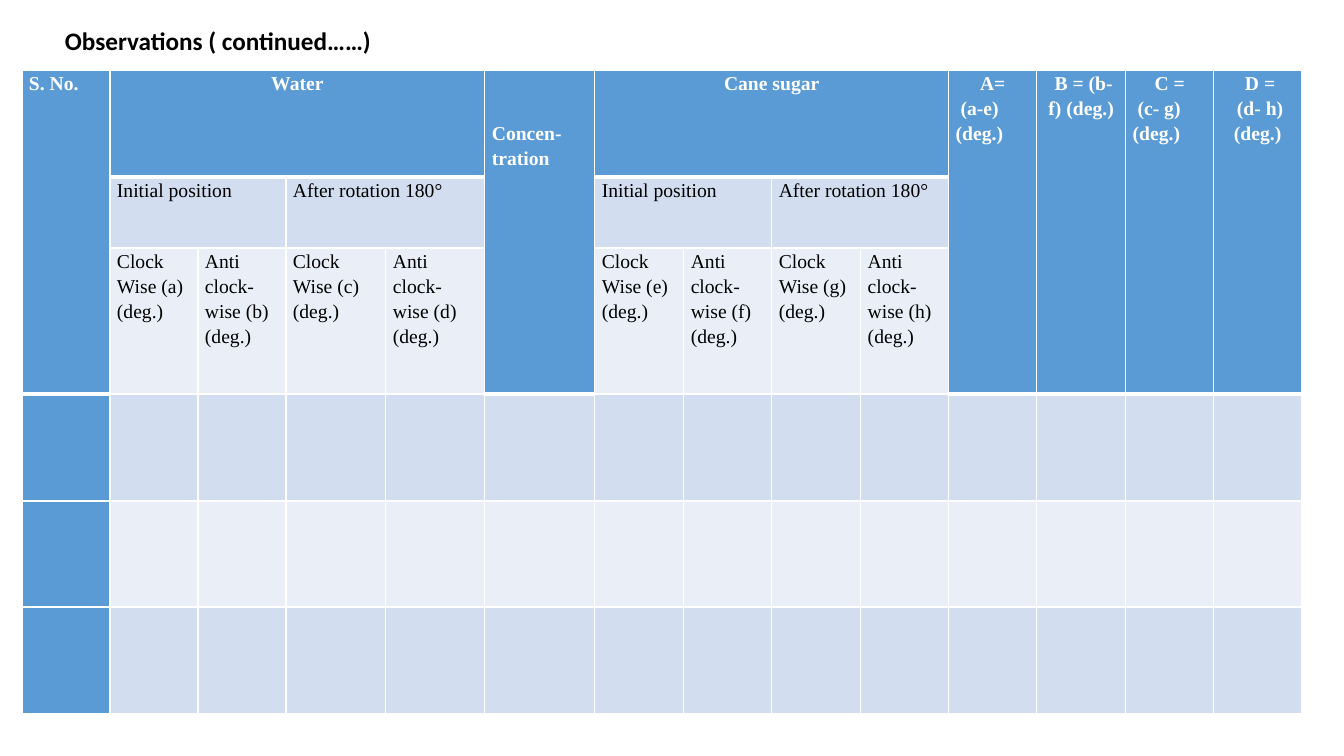
from lxml.etree import SubElement
from pptx import Presentation
from pptx.dml.color import RGBColor
from pptx.enum.text import MSO_AUTO_SIZE as AUTO, PP_ALIGN as AL
from pptx.oxml.ns import qn
from pptx.util import Pt

PX = 914400 / 100.8
C = {"header": "5B9BD5", "dark": "D2DEEF", "light": "EAEFF7",
     "white": "FFFFFF", "black": "000000"}
COLS = [88, 88, 88, 100, 99, 110, 89, 88, 89, 88, 88, 89, 88, 88]
ROWS = [107, 71, 146, 107, 106, 107]
TALL = (0, 5, 10, 11, 12, 13)  # columns whose heading spans three rows


def px(n):
    return round(n * PX)


def add_border(cell, side, width):
    ln = SubElement(cell._tc.get_or_add_tcPr(), qn(f"a:ln{side}"), w=str(Pt(width)))
    SubElement(SubElement(ln, qn("a:solidFill")), qn("a:srgbClr"), val=C["white"])


prs = Presentation()
prs.slide_width, prs.slide_height = px(1344), px(756)
s = prs.slides.add_slide(prs.slide_layouts[6])

# Table grid
frame = s.shapes.add_table(len(ROWS), len(COLS), px(22), px(70), px(sum(COLS)), px(sum(ROWS)))
table = frame.table
table.first_row = table.horz_banding = False
for col, width in zip(table.columns, COLS):
    col.width = px(width)
for row, height in zip(table.rows, ROWS):
    row.height = px(height)

for r in range(len(ROWS)):
    for c in range(len(COLS)):
        cell = table.cell(r, c)
        tall = c in TALL
        thick_top = r == (3 if tall else 1)
        thick_bottom = r < 3 if tall else r == 0
        add_border(cell, "L", 1)
        add_border(cell, "R", 1)
        add_border(cell, "T", 3 if thick_top else 1)
        add_border(cell, "B", 3 if thick_bottom else 1)
        header = r == 0 or c == 0 or (tall and r < 3)
        fill = "header" if header else "dark" if r % 2 else "light"
        cell.fill.solid()
        cell.fill.fore_color.rgb = RGBColor.from_string(C[fill])

# Headings: row, column, row span, column span, paragraphs with alignment
headings = [
    (0, 0, 3, 1, [("S. No.", AL.LEFT)]),
    (0, 5, 3, 1, [("Concen-tration", AL.LEFT)]),
    (0, 10, 3, 1, [("A=", AL.CENTER), (" (a-e) (deg.)", AL.LEFT)]),
    (0, 11, 3, 1, [(" B = (b-f) (deg.)", AL.CENTER)]),
    (0, 12, 3, 1, [("C =", AL.CENTER), (" (c- g) (deg.)", AL.LEFT)]),
    (0, 13, 3, 1, [(" D =", AL.CENTER), (" (d- h) (deg.)", AL.CENTER)]),
]
for liquid, first, letters in (("Water", 1, "abcd"), ("Cane sugar", 6, "efgh")):
    headings.append((0, first, 1, 4, [(liquid, AL.CENTER)]))
    for i, position in enumerate(("Initial position", "After rotation 180°")):
        headings.append((1, first + 2 * i, 1, 2, [(position, AL.LEFT)]))
    for i, letter in enumerate(letters):
        turn = "Anti clock-wise" if i % 2 else "Clock Wise"
        headings.append((2, first + i, 1, 1, [(f"{turn} ({letter}) (deg.)", AL.LEFT)]))

for r, c, down, across, paragraphs in headings:
    cell = table.cell(r, c)
    if down * across > 1:
        cell.merge(table.cell(r + down - 1, c + across - 1))
    cell.margin_left = cell.margin_right = px(7)
    cell.margin_top = px(50 if c == 5 else 0)
    cell.margin_bottom = 0
    tf = cell.text_frame
    tf.text = "\n".join(text for text, _ in paragraphs)
    for p, (_, align) in zip(tf.paragraphs, paragraphs):
        p.alignment = align
        p.line_spacing = 1.15
        font = p.runs[0].font
        font.name, font.size, font.bold = "Times New Roman", Pt(14), r == 0
        font.color.rgb = RGBColor.from_string(C["black" if r else "white"])

# Title
title = s.shapes.add_textbox(px(55), px(20), px(506), px(40))
tf = title.text_frame
tf.word_wrap = True
tf.auto_size = AUTO.SHAPE_TO_FIT_TEXT
tf.text = "Observations ( continued……)"
font = tf.paragraphs[0].runs[0].font
font.name, font.size, font.bold = "Calibri", Pt(18), True
font.color.rgb = RGBColor.from_string(C["black"])

prs.save("out.pptx")
